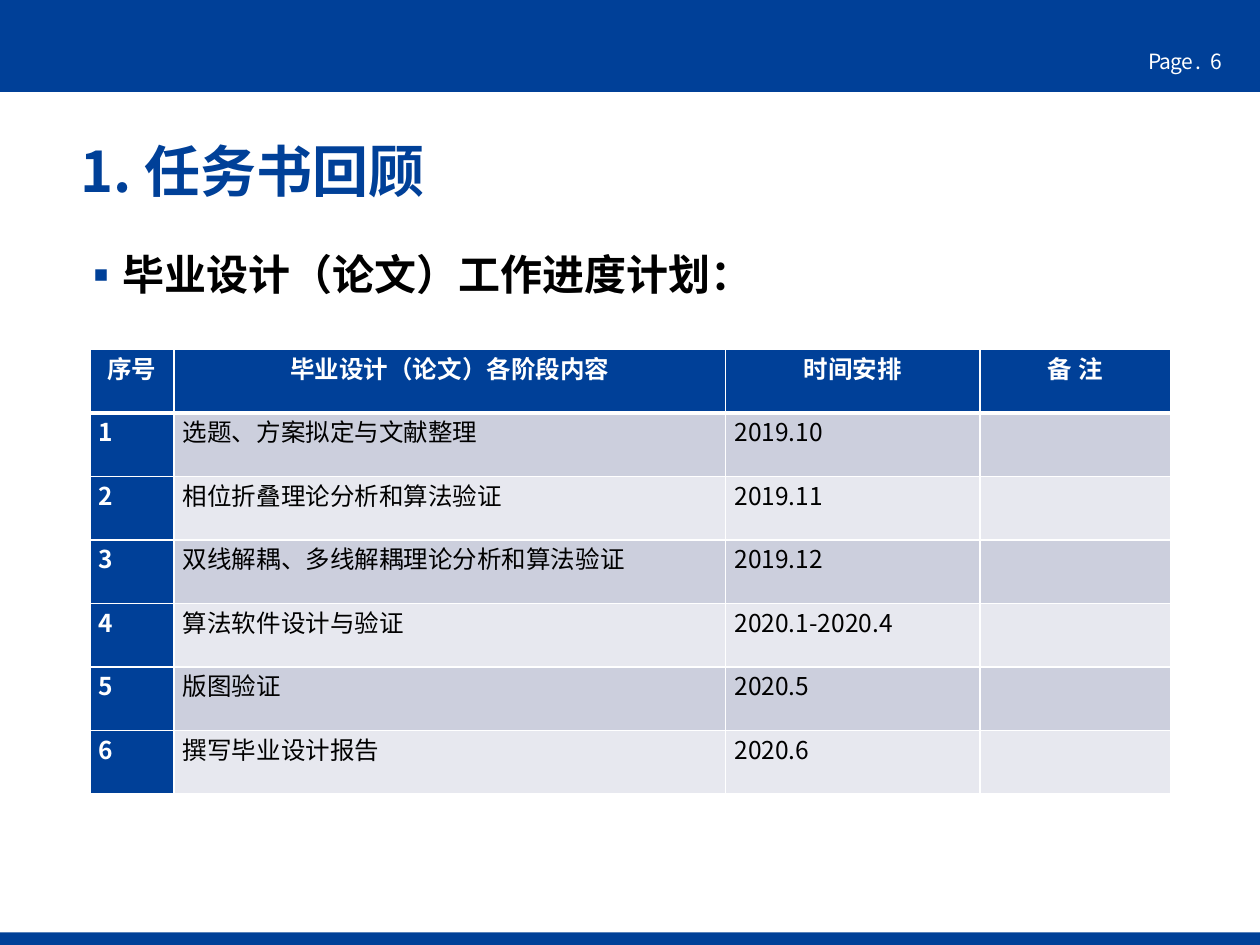
from lxml import etree
from pptx import Presentation
from pptx.dml.color import RGBColor
from pptx.enum.shapes import MSO_SHAPE
from pptx.enum.text import MSO_ANCHOR, PP_ALIGN
from pptx.oxml.ns import qn
from pptx.util import Pt

RECTANGLE = MSO_SHAPE.RECTANGLE
MIDDLE = MSO_ANCHOR.MIDDLE
CENTER, JUSTIFY = PP_ALIGN.CENTER, PP_ALIGN.JUSTIFY
FONT = "Noto Sans CJK SC"
BLUE, WHITE, BLACK = "004098", "FFFFFF", "000000"
STRIPES = ["CCCFDD", "E7E8EF"]


def paint(fill, color):
    fill.solid()
    fill.fore_color.rgb = RGBColor.from_string(color)


def write(frame, text, size=14, color=BLACK, bold=False, align=None, before=0, line=None, spacing=None):
    """Fill the first paragraph of a text frame and return that paragraph."""
    para = frame.paragraphs[0]
    para.alignment = align
    para.space_before = Pt(before)
    para.line_spacing = line
    span = para.add_run()
    span.text = text
    span.font.name, span.font.size, span.font.bold = FONT, Pt(size), bold
    paint(span.font.fill, color)
    properties = span.font._element
    etree.SubElement(properties, qn("a:ea"), typeface=FONT)
    if spacing is not None:
        properties.set("spc", str(round(spacing * 100)))
    return para


deck = Presentation()
deck.slide_width, deck.slide_height = Pt(720), Pt(540)
page = deck.slides.add_slide(deck.slide_layouts[6])

# Bands at the top and bottom edges
for top, height in [(0, 52.6), (532.8, 7.2)]:
    band = page.shapes.add_shape(RECTANGLE, Pt(0), Pt(top), Pt(720), Pt(height))
    band.shadow.inherit = False
    paint(band.fill, BLUE)
    band.line.fill.background()

# Page number
for text, left, width in [("Page .", 649.4, 45.4), ("6", 684.7, 28.8)]:
    box = page.shapes.add_textbox(Pt(left), Pt(24.5), Pt(width), Pt(21.6))
    box.text_frame.word_wrap = False
    write(box.text_frame, text, size=12, color=WHITE, spacing=-0.6)

# Title
title = page.shapes.add_textbox(Pt(38.9), Pt(77), Pt(659.5), Pt(45.4))
title.text_frame.word_wrap = True
title.text_frame.vertical_anchor = MIDDLE
write(title.text_frame, "1. 任务书回顾", size=32, color=BLUE, bold=True, line=0.9)

# Bulleted heading
body = page.shapes.add_textbox(Pt(38.9), Pt(132.5), Pt(659.5), Pt(387.4))
body.text_frame.word_wrap = True
para = write(body.text_frame, "毕业设计（论文）工作进度计划：", size=24, bold=True, before=10, line=1.2)
bullet = para._p.get_or_add_pPr()
bullet.set("marL", str(Pt(18)))
bullet.set("indent", str(-Pt(18)))
bullet_color = etree.SubElement(bullet, qn("a:buClr"))
etree.SubElement(bullet_color, qn("a:srgbClr"), val=BLUE)
etree.SubElement(bullet, qn("a:buFont"), typeface=FONT)
etree.SubElement(bullet, qn("a:buChar"), char="▪")

# Schedule table
schedule = [
    ("序号", "毕业设计（论文）各阶段内容", "时间安排", "备 注"),
    ("1", "选题、方案拟定与文献整理", "2019.10", ""),
    ("2", "相位折叠理论分析和算法验证", "2019.11", ""),
    ("3", "双线解耦、多线解耦理论分析和算法验证", "2019.12", ""),
    ("4", "算法软件设计与验证", "2020.1-2020.4", ""),
    ("5", "版图验证", "2020.5", ""),
    ("6", "撰写毕业设计报告", "2020.6", ""),
]
widths = [48.2, 315.2, 145.4, 108.8]
row_height = 36.3
table = page.shapes.add_table(
    len(schedule), len(widths), Pt(51.3), Pt(199.7),
    Pt(sum(widths)), Pt(row_height * len(schedule))).table
for column, width in zip(table.columns, widths):
    column.width = Pt(width)

for row, values in enumerate(schedule):
    table.rows[row].height = Pt(row_height)
    for col, text in enumerate(values):
        cell = table.cell(row, col)
        strong = row == 0 or col == 0
        cell.margin_left = cell.margin_right = Pt(5)
        cell.margin_top = cell.margin_bottom = Pt(0)
        if text:
            write(cell.text_frame, text, color=WHITE if strong else BLACK, bold=strong,
                  align=CENTER if row == 0 else JUSTIFY, before=6)
        properties = cell._tc.get_or_add_tcPr()
        for side in "LRTB":
            under_header = (row, side) in [(0, "B"), (1, "T")]
            border = etree.SubElement(properties, qn(f"a:ln{side}"), w=str(Pt(3 if under_header else 1)))
            border_fill = etree.SubElement(border, qn("a:solidFill"))
            etree.SubElement(border_fill, qn("a:srgbClr"), val=WHITE)
        paint(cell.fill, BLUE if strong else STRIPES[(row - 1) % 2])

deck.save("out.pptx")
